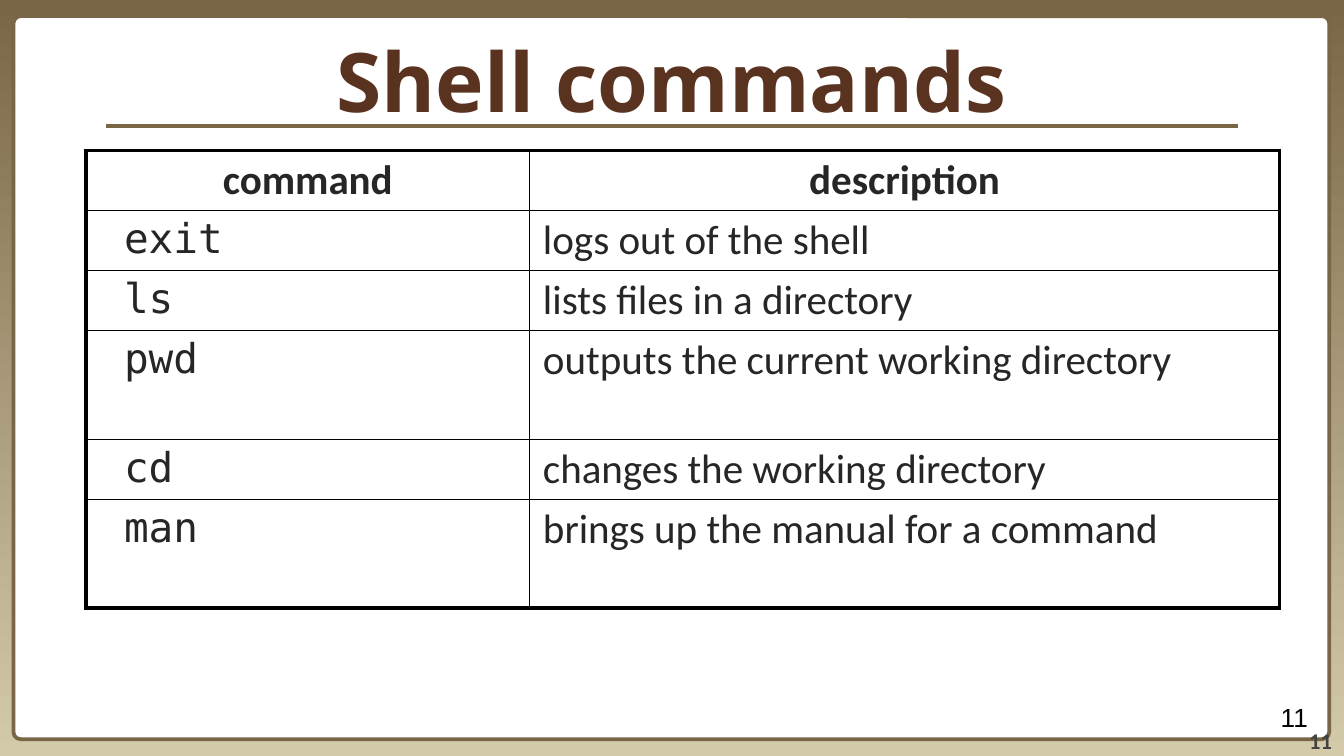
import pptx
import pptx.dml.color
import pptx.enum.shapes
import pptx.enum.text
import pptx.oxml
import pptx.oxml.ns
import pptx.util
from lxml import etree

RGBColor = pptx.dml.color.RGBColor
Inches, Pt = pptx.util.Inches, pptx.util.Pt
ALIGN, ANCHOR = pptx.enum.text.PP_ALIGN, pptx.enum.text.MSO_ANCHOR
qn = pptx.oxml.ns.qn

# Content
TITLE = "Shell commands"
PAGE = "11"
HEADINGS = ("command", "description")
COMMANDS = [
    (" exit", "logs out of the shell"),
    (" ls", "lists files in a directory"),
    (" pwd", "outputs the current working directory"),
    (" cd", "changes the working directory"),
    (" man", "brings up the manual for a command"),
]
TALL_ROWS = (3, 5)

# Colours and formats
BROWN = RGBColor(0x79, 0x66, 0x46)
SAND = RGBColor(0xD3, 0xCA, 0xAA)
WHITE = RGBColor(0xFF, 0xFF, 0xFF)
BLACK = RGBColor(0x00, 0x00, 0x00)
CHESTNUT = RGBColor(0x5A, 0x33, 0x20)
GREY = RGBColor(0x42, 0x42, 0x42)
INK = RGBColor(0x26, 0x26, 0x26)

TITLE_FONT = {"name": "Open Sans", "size": Pt(44), "bold": True}
FOOTER_FONT = {"name": "Calibri", "size": Pt(12), "bold": True}
NUMBER_FONT = {"name": "Arial", "size": Pt(14), "bold": False}
HEADING_FONT = {"name": "Calibri", "size": Pt(22), "bold": True}
COMMAND_FONT = {"name": "DejaVu Sans Mono", "size": Pt(22), "bold": False}
DESCRIPTION_FONT = {"name": "Calibri", "size": Pt(22), "bold": False}

# Grid, in inches, on a 16:9 slide
WIDTH = 10
HEIGHT = WIDTH * 9 / 16
RULE_MARGIN, RULE_TOP = 0.79, 0.94
TABLE_LEFT, TABLE_TOP = 0.64, 1.12
COLUMNS = (3.3, 5.58)
ROW, TALL_ROW = 0.44, 0.81
THIN, THICK = 1, 2.25


def write(frame, text, font, color, align):
    paragraph = frame.paragraphs[0]
    paragraph.alignment = align
    run = paragraph.add_run()
    run.text = text
    for name, value in font.items():
        setattr(run.font, name, value)
    run.font.color.rgb = color


def add_text(slide, box, text, font, color, align, anchor, inset=(0.1, 0.05)):
    frame = slide.shapes.add_textbox(*map(Inches, box)).text_frame
    across, down = map(Inches, inset)
    settings = {"word_wrap": True, "vertical_anchor": anchor,
                "margin_left": across, "margin_right": across,
                "margin_top": down, "margin_bottom": down}
    for name, value in settings.items():
        setattr(frame, name, value)
    write(frame, text, font, color, align)


def set_borders(cell, outer_sides):
    properties = cell._tc.get_or_add_tcPr()
    for side in "LRTB":
        width = THICK if side in outer_sides else THIN
        line = etree.SubElement(properties, qn(f"a:ln{side}"), w=str(Pt(width)))
        fill = etree.SubElement(line, qn("a:solidFill"))
        etree.SubElement(fill, qn("a:srgbClr"), val=str(BLACK))


def add_frame(slide):
    # Gradient background
    fill = slide.background.fill
    fill.gradient()
    fill.gradient_angle = 270
    for stop, color, position in zip(fill.gradient_stops, (BROWN, SAND), (0, 1)):
        stop.color.rgb = color
        stop.position = position

    # White panel
    panel = slide.shapes.add_shape(
        pptx.enum.shapes.MSO_SHAPE.ROUNDED_RECTANGLE,
        *map(Inches, (0.1, 0.12, 9.79, 5.38)))
    panel.adjustments[0] = 0.01
    panel.shadow.inherit = False
    panel.fill.solid()
    panel.fill.fore_color.rgb = WHITE
    panel.line.color.rgb = BROWN
    panel.line.width = Pt(2)

    # Rule under the title
    rule = slide.shapes.add_connector(
        pptx.enum.shapes.MSO_CONNECTOR.STRAIGHT,
        *map(Inches, (RULE_MARGIN, RULE_TOP, WIDTH - RULE_MARGIN, RULE_TOP)))
    rule.line.color.rgb = BROWN
    rule.line.width = Pt(THICK)
    etree.SubElement(rule._element.spPr, qn("a:effectLst"))


def add_command_table(slide):
    rows = [HEADINGS, *COMMANDS]
    heights = [TALL_ROW if i in TALL_ROWS else ROW for i in range(len(rows))]
    box = (TABLE_LEFT, TABLE_TOP, sum(COLUMNS), sum(heights))
    table = slide.shapes.add_table(
        len(rows), len(COLUMNS), *map(Inches, box)).table
    table.first_row = table.horz_banding = False
    for column, width in zip(table.columns, COLUMNS):
        column.width = Inches(width)
    for i, (texts, height) in enumerate(zip(rows, heights)):
        table.rows[i].height = Inches(height)
        fonts = (COMMAND_FONT, DESCRIPTION_FONT) if i else (HEADING_FONT,) * 2
        for j, (text, font) in enumerate(zip(texts, fonts)):
            cell = table.cell(i, j)
            cell.margin_top = cell.margin_bottom = Inches(0.04)
            write(cell.text_frame, text, font, INK,
                  ALIGN.LEFT if i else ALIGN.CENTER)
            outer = "LR"[j]
            outer += "T" if i == 0 else "B" if i == len(rows) - 1 else ""
            set_borders(cell, outer)
            cell.fill.background()


def main():
    presentation = pptx.Presentation()
    presentation.slide_width = Inches(WIDTH)
    presentation.slide_height = Inches(HEIGHT)
    slide = presentation.slides.add_slide(presentation.slide_layouts[6])

    add_frame(slide)
    add_text(slide, (9.08, 5.31, 0.83, 0.3), PAGE, FOOTER_FONT, GREY,
             ALIGN.RIGHT, ANCHOR.BOTTOM, inset=(0, 0))
    add_text(slide, (0, 0.12, WIDTH, 0.94), TITLE, TITLE_FONT, CHESTNUT,
             ALIGN.CENTER, ANCHOR.MIDDLE)
    add_command_table(slide)
    add_text(slide, (7.5, 5.17, 2.33, 0.39), PAGE, NUMBER_FONT, BLACK,
             ALIGN.RIGHT, ANCHOR.TOP)

    presentation.save("out.pptx")


if __name__ == "__main__":
    main()
